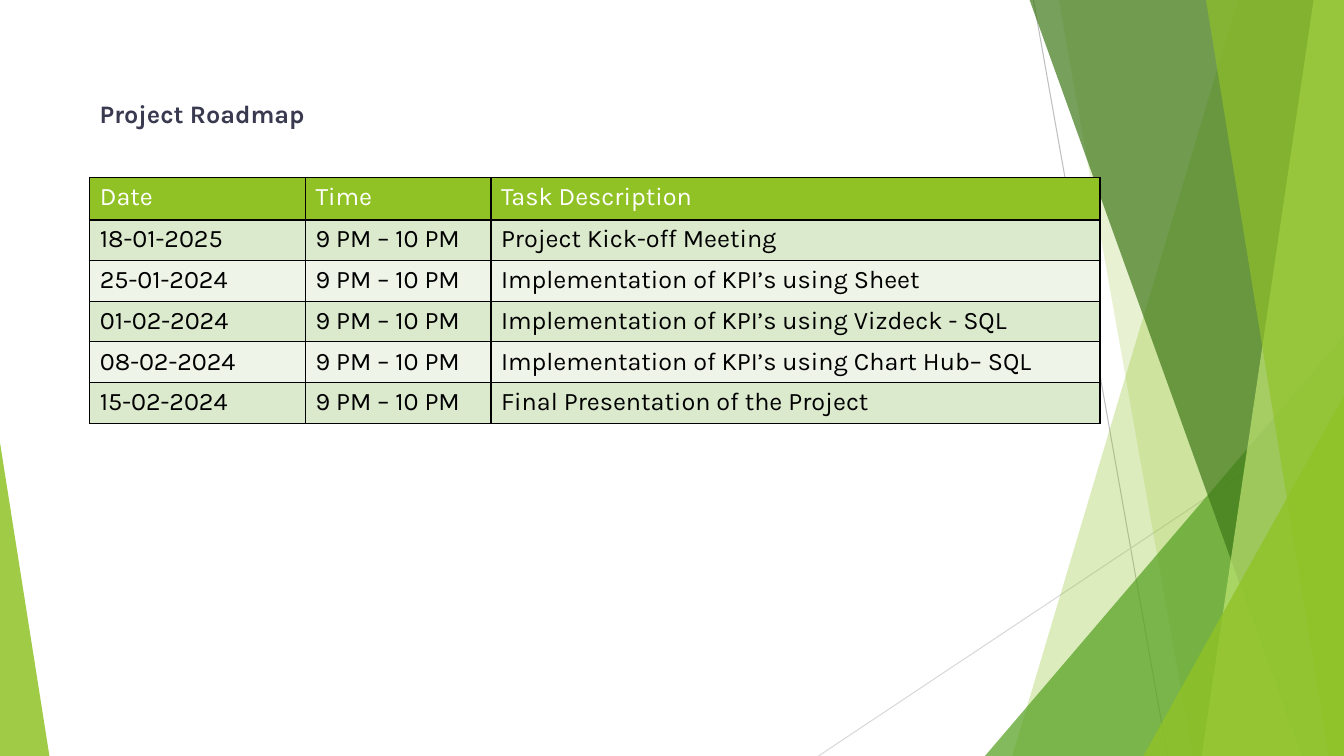
from dataclasses import dataclass

from lxml import etree
from pptx import Presentation
from pptx.dml.color import RGBColor
from pptx.enum.shapes import MSO_CONNECTOR, MSO_SHAPE
from pptx.enum.text import MSO_ANCHOR
from pptx.oxml.ns import qn
from pptx.util import Emu, Inches, Pt

LINE = MSO_CONNECTOR.STRAIGHT
PEAK = MSO_SHAPE.ISOSCELES_TRIANGLE
TOP = MSO_ANCHOR.TOP
WIDE, HIGH = Inches(13.33), Inches(7.5)
FONT, SIZE = "Karla", 18
LIME, WHITE, BLACK = "90C226", "FFFFFF", "000000"
BANDS = ("DBE9CD", "EEF4E8")


# All lengths below are percent of the slide's width or height.
@dataclass
class Ray:
    x1: float
    y1: float
    x2: float
    y2: float
    color: str


@dataclass
class Shard:
    """Slanted left edge, running to the right side of the slide."""
    top: float
    base: float
    color: str
    alpha: int


@dataclass
class Spike:
    """Right triangle standing on the bottom edge."""
    left: float
    top: float
    width: float
    tip: int
    color: str
    alpha: int


RAYS = [
    Ray(76.9, 0, 86.87, 100, "BFBFBF"),
    Ray(100, 53.73, 60.9, 100, "D9D9D9"),
]
FACETS = [
    Shard(92.12, 75.32, LIME, 30),
    Shard(78.77, 88.75, LIME, 20),
    Spike(73.29, 44.4, 26.71, 1, "54A021", 72),
    Shard(76.59, 96.85, "3F7819", 70),
    Shard(97.75, 89.42, "C0E474", 70),
    Shard(89.72, 98.87, LIME, 65),
    Spike(85.07, 52.4, 14.93, 1, LIME, 80),
    Spike(0, 58.53, 3.68, 0, LIME, 85),
]
LEFT = 6.68
COLS = (16.05, 13.8, 45.31)
HEAD_ROW, BODY_ROW = 5.6, 5.39
HOURS = "9 PM – 10 PM"
HEAD = ("Date", "Time", "Task Description")
TASKS = [
    ("18-01-2025", "Project Kick-off Meeting"),
    ("25-01-2024", "Implementation of KPI’s using Sheet"),
    ("01-02-2024", "Implementation of KPI’s using Vizdeck - SQL"),
    ("08-02-2024", "Implementation of KPI’s using Chart Hub– SQL"),
    ("15-02-2024", "Final Presentation of the Project"),
]


def across(share: float) -> Emu:
    return Emu(round(WIDE * share / 100))


def down(share: float) -> Emu:
    return Emu(round(HIGH * share / 100))


def rgb(color: str) -> RGBColor:
    return RGBColor.from_string(color)


def write(frame, text: str, color: str, bold: bool = False) -> None:
    frame.text = text
    font = frame.paragraphs[0].runs[0].font
    font.name, font.size, font.bold = FONT, Pt(SIZE), bold
    font.color.rgb = rgb(color)


def draw_ray(shapes, ray: Ray) -> None:
    line = shapes.add_connector(LINE, across(ray.x1), down(ray.y1),
                                across(ray.x2), down(ray.y2))
    line.line.color.rgb = rgb(ray.color)
    line.line.width = Pt(0.75)
    etree.SubElement(line._element.spPr, qn("a:effectLst"))


def draw_facet(shapes, facet: Shard | Spike) -> None:
    if isinstance(facet, Shard):
        edge = down(-0.1)
        pen = shapes.build_freeform(across(facet.top), edge)
        pen.add_line_segments([(WIDE, edge), (WIDE, HIGH),
                               (across(facet.base), HIGH)], close=True)
        shape = pen.convert_to_shape()
    else:
        shape = shapes.add_shape(PEAK, across(facet.left), down(facet.top),
                                 across(facet.width), down(100 - facet.top))
        shape.adjustments[0] = facet.tip
    shape.shadow.inherit = False
    shape.line.fill.background()
    shape.fill.solid()
    shape.fill.fore_color.rgb = rgb(facet.color)
    tint = shape._element.spPr.find(qn("a:solidFill"))[0]
    etree.SubElement(tint, qn("a:alpha"), val=str(facet.alpha * 1000))


def set_edges(cell, above: float, below: float) -> None:
    props = cell._tc.get_or_add_tcPr()
    sides = {"lnL": 1, "lnR": 1, "lnT": above, "lnB": below}
    for spot, (side, width) in enumerate(sides.items()):
        edge = etree.Element(qn(f"a:{side}"), w=str(Pt(width)))
        fill = etree.SubElement(edge, qn("a:solidFill"))
        etree.SubElement(fill, qn("a:srgbClr"), val=BLACK)
        props.insert(spot, edge)


def draw_table(shapes) -> None:
    rows = [HEAD] + [(date, HOURS, task) for date, task in TASKS]
    tall = HEAD_ROW + BODY_ROW * len(TASKS)
    table = shapes.add_table(len(rows), len(COLS), across(LEFT), down(23.47),
                             across(sum(COLS)), down(tall)).table
    for col, width in zip(table.columns, COLS):
        col.width = across(width)
    for r, row in enumerate(rows):
        table.rows[r].height = down(BODY_ROW if r else HEAD_ROW)
        for c, text in enumerate(row):
            cell = table.cell(r, c)
            write(cell.text_frame, text, BLACK if r else WHITE)
            cell.fill.solid()
            cell.fill.fore_color.rgb = rgb(BANDS[(r - 1) % 2] if r else LIME)
            set_edges(cell, 1.5 if r == 1 else 1, 1 if r else 1.5)


def draw_title(shapes) -> None:
    box = shapes.add_textbox(across(LEFT), down(12.4), across(50), down(5.33))
    frame = box.text_frame
    frame.word_wrap = True
    frame.vertical_anchor = TOP
    write(frame, "Project Roadmap", "393950", bold=True)


def main() -> None:
    deck = Presentation()
    deck.slide_width, deck.slide_height = WIDE, HIGH
    shapes = deck.slides.add_slide(deck.slide_layouts[6]).shapes
    # Backdrop
    for ray in RAYS:
        draw_ray(shapes, ray)
    for facet in FACETS:
        draw_facet(shapes, facet)
    # Content
    draw_table(shapes)
    draw_title(shapes)
    deck.save("out.pptx")


if __name__ == "__main__":
    main()
